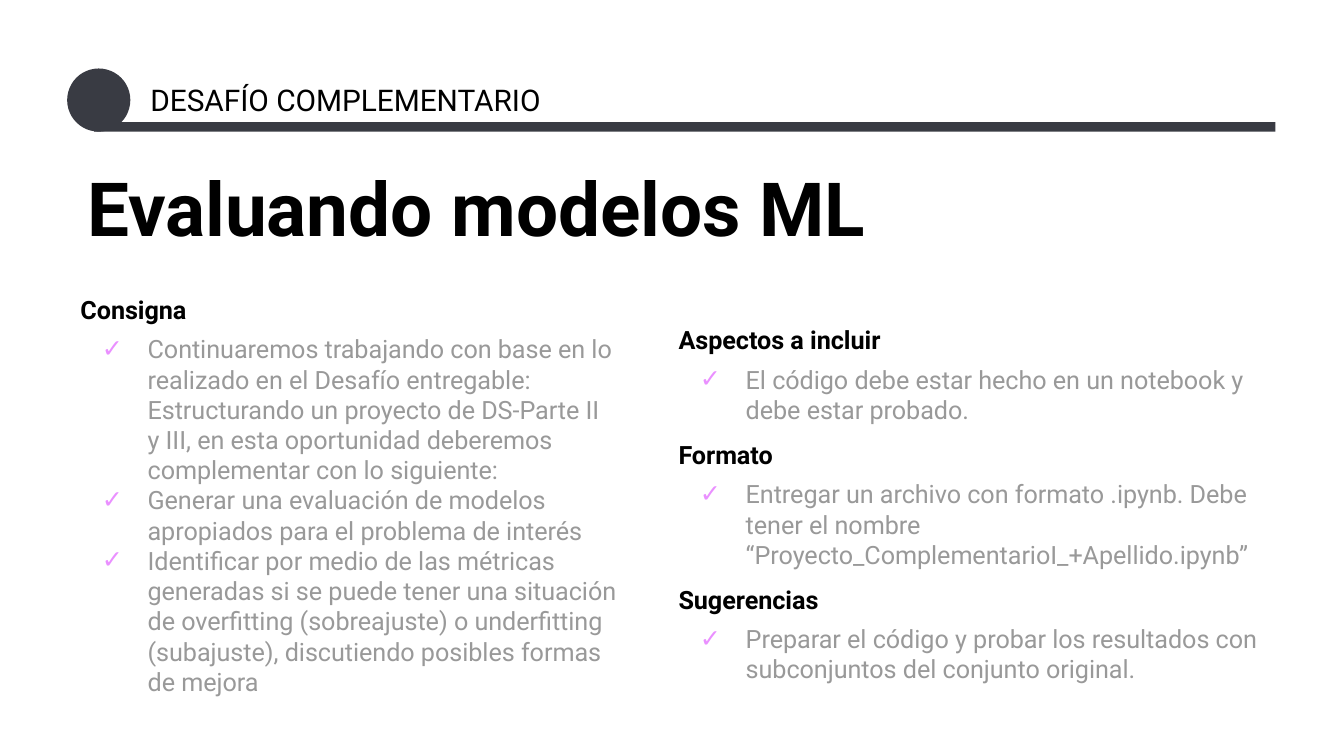
import pptx
import pptx.dml.color
import pptx.enum.shapes
import pptx.oxml.ns
import pptx.util
import lxml.etree

COLUMNS = 200
ROWS = 112.5
UNIT = pptx.util.Inches(0.05)

FONT = "Roboto"
BLACK = "000000"
SLATE = "393B43"
GRAY = "999999"
PINK = "EA90FF"
BODY_SIZE = 13.5
ITEM_GAP = 4.9
SECTION_GAP = 8

TASK = [
    ("Consigna", [
        "Continuaremos trabajando con base en lo realizado en el Desafío entregable: "
        "Estructurando un proyecto de DS-Parte II y III, en esta oportunidad deberemos "
        "complementar con lo siguiente:",
        "Generar una evaluación de modelos apropiados para el problema de interés",
        "Identificar por medio de las métricas generadas si se puede tener una situación "
        "de overfitting (sobreajuste) o underfitting (subajuste), discutiendo posibles "
        "formas de mejora",
    ]),
]
DELIVERY = [
    ("Aspectos a incluir", [
        "El código debe estar hecho en un notebook y debe estar probado.",
    ]),
    ("Formato", [
        "Entregar un archivo con formato .ipynb. Debe tener el nombre "
        "“Proyecto_ComplementarioI_+Apellido.ipynb”",
    ]),
    ("Sugerencias", [
        "Preparar el código y probar los resultados con subconjuntos del conjunto original.",
    ]),
]


def color(value):
    return pptx.dml.color.RGBColor.from_string(value)


def place(box):
    return [round(length * UNIT) for length in box]


def add_text_frame(page, box):
    frame = page.shapes.add_textbox(*place(box)).text_frame
    frame.word_wrap = True
    frame.margin_left = frame.margin_right = pptx.util.Inches(0.1)
    frame.margin_top = frame.margin_bottom = pptx.util.Inches(0.1)
    return frame


def write(para, text, size, ink, bold=False):
    para.text = text
    para.font.name = FONT
    para.font.size = pptx.util.Pt(size)
    para.font.bold = bold
    para.font.color.rgb = color(ink)


def add_solid(page, kind, box):
    shape = page.shapes.add_shape(kind, *place(box))
    shape.shadow.inherit = False
    shape.fill.solid()
    shape.fill.fore_color.rgb = color(SLATE)
    shape.line.fill.background()


def add_check(para):
    properties = para._p.get_or_add_pPr()
    properties.set("marL", str(pptx.util.Inches(0.5)))
    properties.set("indent", str(pptx.util.Inches(-0.34)))
    name = pptx.oxml.ns.qn
    tint = lxml.etree.SubElement(properties, name("a:buClr"))
    lxml.etree.SubElement(tint, name("a:srgbClr"), val=PINK)
    lxml.etree.SubElement(properties, name("a:buFont"), typeface=FONT)
    lxml.etree.SubElement(properties, name("a:buChar"), char="✓")


def add_header(page, box, text):
    left, top, width, height = box
    shapes = pptx.enum.shapes.MSO_SHAPE
    bar = 1.4
    add_solid(page, shapes.OVAL, (left, top, height, height))
    add_solid(page, shapes.RECTANGLE,
              (left + 4, top + height - bar, width - 4, bar))
    frame = add_text_frame(page, (left + height + 1, top, 63, height))
    write(frame.paragraphs[0], text, 16, BLACK)


def add_title(page, box, text):
    para = add_text_frame(page, box).paragraphs[0]
    para.line_spacing = 0.9
    write(para, text, 40, BLACK, bold=True)


def add_sections(page, box, sections):
    frame = add_text_frame(page, box)
    for number, (heading, items) in enumerate(sections):
        para = frame.add_paragraph() if number else frame.paragraphs[0]
        if number:
            para.space_before = pptx.util.Pt(SECTION_GAP)
        para.space_after = pptx.util.Pt(ITEM_GAP)
        write(para, heading, BODY_SIZE, BLACK, bold=True)
        for item in items:
            para = frame.add_paragraph()
            add_check(para)
            write(para, item, BODY_SIZE, GRAY)


def main():
    deck = pptx.Presentation()
    deck.slide_width = round(COLUMNS * UNIT)
    deck.slide_height = round(ROWS * UNIT)
    page = deck.slides.add_slide(deck.slide_layouts[6])
    add_title(page, (11, 23.6, 159.8, 40.4), "Evaluando modelos ML")
    add_header(page, (10, 10.2, 179.8, 9.4), "DESAFÍO COMPLEMENTARIO")
    add_sections(page, (99, 46.3, 97, 58.1), DELIVERY)
    add_sections(page, (10, 41.8, 83.8, 64.4), TASK)
    deck.save("out.pptx")


if __name__ == "__main__":
    main()
